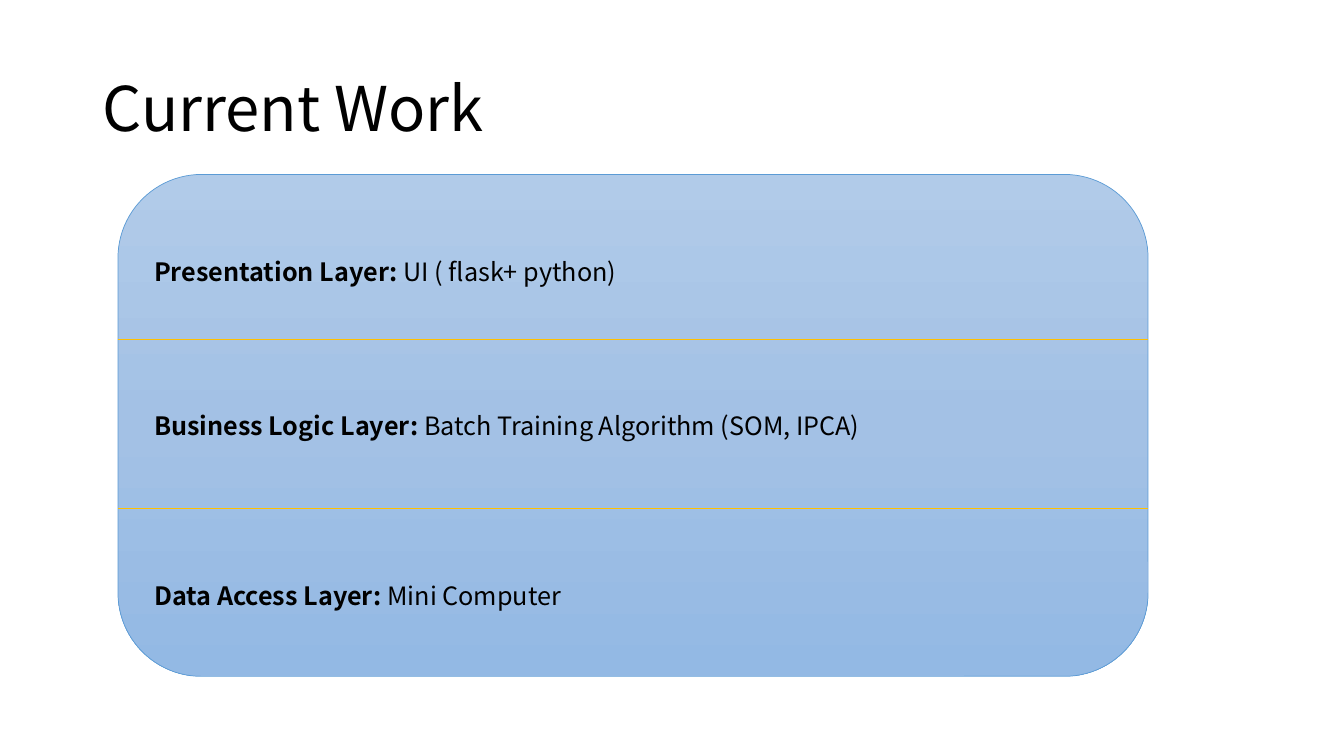
from copy import deepcopy
from dataclasses import dataclass

from lxml.etree import SubElement
from pptx import Presentation
from pptx.dml.color import RGBColor
from pptx.enum.shapes import MSO_CONNECTOR, MSO_SHAPE
from pptx.enum.text import MSO_ANCHOR
from pptx.oxml.ns import qn
from pptx.slide import Slide
from pptx.text.text import _Run
from pptx.util import Inches, Pt

PAGE_WIDTH, PAGE_HEIGHT = Inches(13.333), Inches(7.5)


@dataclass(frozen=True)
class Theme:
    font: str = "Noto Sans CJK SC"
    title_size: int = 44
    label_size: int = 18
    line_width: float = 0.5
    text: str = "000000"
    panel_top: str = "B1CBE9"
    panel_middle: str = "A3C1E5"
    panel_bottom: str = "93B9E4"
    outline: str = "5B9BD5"
    divider: str = "FFC000"


@dataclass(frozen=True)
class Area:
    """A rectangle in percent of the slide's width and height."""
    left: float
    top: float
    width: float
    height: float

    def lengths(self) -> tuple[int, int, int, int]:
        return (across(self.left), down(self.top),
                across(self.width), down(self.height))


@dataclass(frozen=True)
class Layer:
    name: str
    content: str
    label_top: float
    label_width: float


THEME = Theme()
TITLE = Area(6.9, 5.07, 86.25, 19.33)
PANEL = Area(8.78, 23.07, 76.65, 66.4)
DIVIDER_TOPS = (44.93, 67.2)
LABEL_LEFT, LABEL_HEIGHT = 10.73, 5.33
LAYERS = (
    Layer("Presentation Layer: ", "UI ( flask+ python)", 33.2, 43.73),
    Layer("Business Logic Layer:", " Batch Training Algorithm (SOM, IPCA)", 53.6, 57.75),
    Layer("Data Access Layer: ", "Mini Computer", 76.13, 46.95),
)


def across(percent: float) -> int:
    return round(PAGE_WIDTH * percent / 100)


def down(percent: float) -> int:
    return round(PAGE_HEIGHT * percent / 100)


def color(value: str) -> RGBColor:
    return RGBColor.from_string(value)


def style_run(span: _Run, size: int, bold: bool = False) -> None:
    span.font.name = THEME.font
    span.font.size = Pt(size)
    span.font.bold = bold
    span.font.color.rgb = color(THEME.text)


def draw_title(page: Slide, title: str) -> None:
    box = page.shapes.add_textbox(*TITLE.lengths())
    box.text_frame.word_wrap = True
    box.text_frame.vertical_anchor = MSO_ANCHOR.MIDDLE
    box.text_frame.text = title
    para = box.text_frame.paragraphs[0]
    para.line_spacing = 0.9
    style_run(para.runs[0], THEME.title_size)


def draw_panel(page: Slide) -> None:
    panel = page.shapes.add_shape(MSO_SHAPE.ROUNDED_RECTANGLE, *PANEL.lengths())
    panel.shadow.inherit = False
    panel.line.color.rgb = color(THEME.outline)
    panel.line.width = Pt(THEME.line_width)

    # Vertical gradient with a third stop halfway
    panel.fill.gradient()
    panel.fill.gradient_angle = 270
    stop_list = panel.fill._xPr.find(qn("a:gradFill")).find(qn("a:gsLst"))
    middle = deepcopy(stop_list[0])
    stop_list.insert(1, middle)
    shades = (THEME.panel_top, THEME.panel_middle, THEME.panel_bottom)
    for index, (stop, shade) in enumerate(zip(panel.fill.gradient_stops, shades)):
        stop.position = index / 2
        stop.color.rgb = color(shade)


def draw_divider(page: Slide, top: float) -> None:
    divider = page.shapes.add_connector(
        MSO_CONNECTOR.STRAIGHT, across(PANEL.left), down(top),
        across(PANEL.left + PANEL.width), down(top))
    divider.line.color.rgb = color(THEME.divider)
    divider.line.width = Pt(THEME.line_width)
    SubElement(divider._element.spPr, qn("a:effectLst"))


def draw_layer(page: Slide, layer: Layer) -> None:
    area = Area(LABEL_LEFT, layer.label_top, layer.label_width, LABEL_HEIGHT)
    box = page.shapes.add_textbox(*area.lengths())
    box.text_frame.word_wrap = True
    para = box.text_frame.paragraphs[0]
    for words, bold in ((layer.name, True), (layer.content, False)):
        span = para.add_run()
        span.text = words
        style_run(span, THEME.label_size, bold)


def main() -> None:
    deck = Presentation()
    deck.slide_width, deck.slide_height = PAGE_WIDTH, PAGE_HEIGHT
    page = deck.slides.add_slide(deck.slide_layouts[6])

    # Title and background panel
    draw_title(page, "Current Work")
    draw_panel(page)

    # Lines between the layers, then their labels
    for top in DIVIDER_TOPS:
        draw_divider(page, top)
    for layer in LAYERS:
        draw_layer(page, layer)

    deck.save("out.pptx")


if __name__ == "__main__":
    main()
